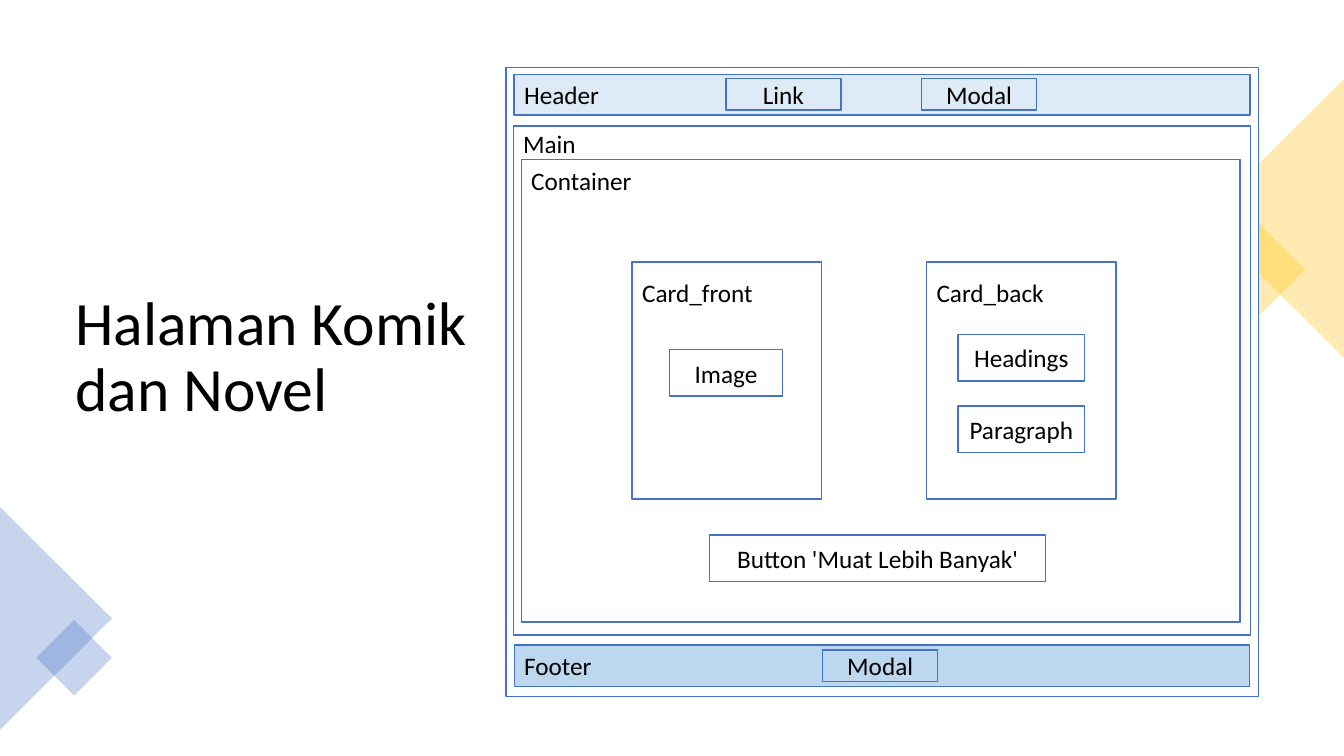
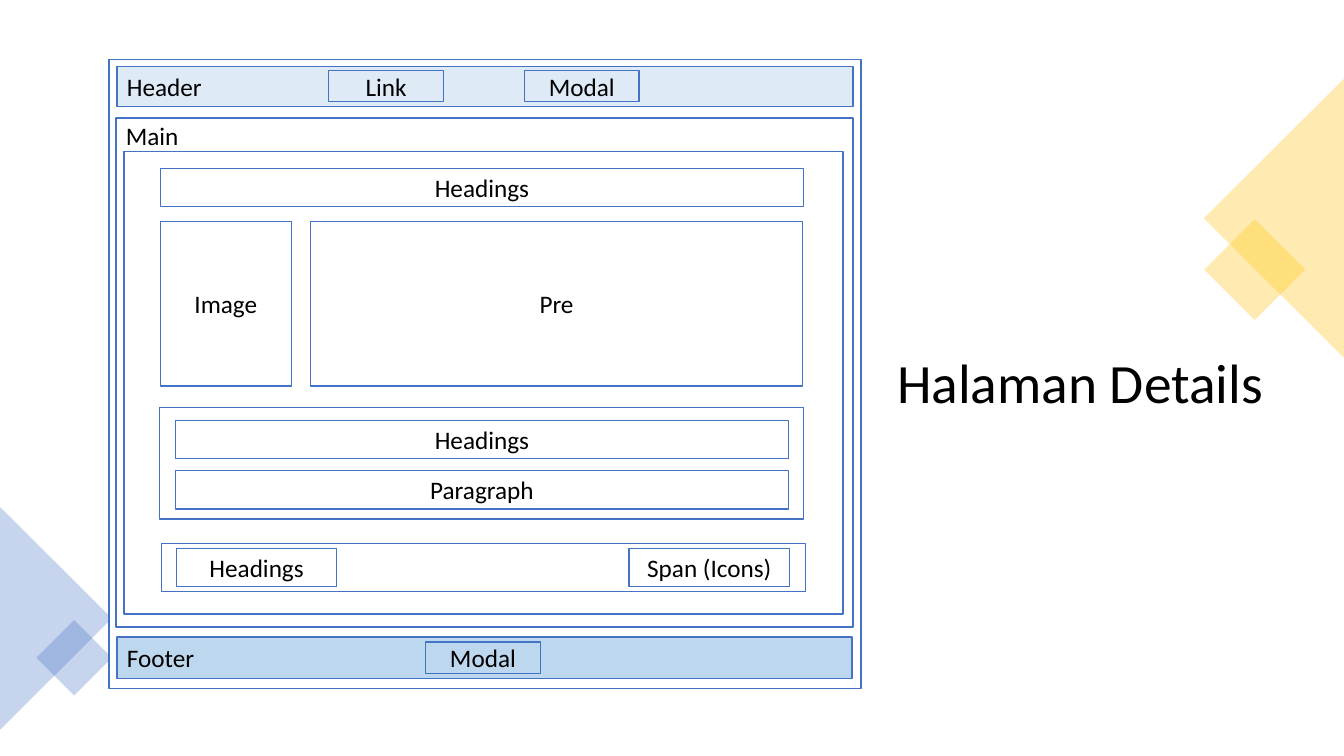
"""Build two slides that show the wireframes of a comic and novel site."""
from lxml import etree
from pptx import Presentation
from pptx import util as u
from pptx.dml.color import RGBColor
from pptx.enum import shapes as sh, text as tx
from pptx.oxml.ns import qn

PX = 9144
BLUE, GOLD, WHITE, PALE, SKY, BLACK = "4472C4", "FFC000", "FFFFFF", "DEEBF7", "BDD7EE", "000000"
RECT, TRI = sh.MSO_SHAPE.RECTANGLE, sh.MSO_SHAPE.ISOSCELES_TRIANGLE
MID, TOP = tx.MSO_ANCHOR.MIDDLE, tx.MSO_ANCHOR.TOP
LEFT, CENTER = tx.PP_ALIGN.LEFT, tx.PP_ALIGN.CENTER
hue = RGBColor.from_string


def write(shape, words, size=18, align=LEFT, anchor=MID, inset=5, lead=1.0):
    frame = shape.text_frame
    para = frame.paragraphs[0]
    para.text = words
    for item, form in (
        (frame, {"word_wrap": True, "vertical_anchor": anchor, "margin_top": inset * PX}),
        (para, {"alignment": align, "line_spacing": lead}),
        (para.font, {"size": u.Pt(size), "name": "Calibri"}),
    ):
        for key, val in form.items():
            setattr(item, key, val)
    para.font.color.rgb = hue(BLACK)


def box(slide, place, fill, kind=RECT):
    shape = slide.shapes.add_shape(kind, *(n * PX for n in place))
    shape.shadow.inherit = False
    shape.fill.solid()
    shape.fill.fore_color.rgb = hue(fill)
    shape.line.color.rgb = hue(BLUE)
    shape.line.width = u.Pt(1)
    return shape


DECOR = [
    (RECT, (1209, 232, 71, 71), 45, GOLD),
    (TRI, (1125, 147, 277, 139), 270, GOLD),
    (TRI, (-55, 558, 221, 111), 90, BLUE),
    (RECT, (47, 626, 53, 53), 45, BLUE),
]

SHELL = [
    ((0, 0, 746, 624), WHITE, "", LEFT),
    ((8, 7, 730, 40), PALE, "Header", LEFT),
    ((8, 573, 729, 41), SKY, "Footer", LEFT),
    ((7, 58, 731, 505), WHITE, "", LEFT),
    ((15, 91, 713, 459), WHITE, "", LEFT),
    ((218, 11, 114, 31), PALE, "Link", CENTER),
    ((412, 11, 114, 31), PALE, "Modal", CENTER),
    ((314, 578, 114, 31), SKY, "Modal", CENTER),
]

PAGES = [
    {
        "title": ("Halaman Komik dan Novel", 44, (65, 297, 430, 117)),
        "frame": (502, 67),
        "panels": [
            ((517, 158, 713, 459), "Container", 6),
            ((627, 260, 188, 235), "Card_front", 15),
            ((919, 260, 188, 235), "Card_back", 15),
        ],
        "parts": [
            ((664, 347, 112, 46), "Image"),
            ((950, 332, 126, 46), "Headings"),
            ((950, 403, 126, 46), "Paragraph"),
            ((704, 531, 333, 46), "Button 'Muat Lebih Banyak'"),
        ],
    },
    {
        "title": ("Halaman Details", 39.6, (880, 349, 423, 67)),
        "frame": (108, 59),
        "panels": [
            ((158, 404, 639, 111), "", 5),
            ((160, 539, 639, 48), "", 5),
        ],
        "parts": [
            ((159, 167, 638, 38), "Headings"),
            ((159, 220, 130, 163), "Image"),
            ((308, 220, 488, 163), "Pre"),
            ((174, 417, 608, 38), "Headings"),
            ((174, 467, 608, 38), "Paragraph"),
            ((175, 544, 159, 38), "Headings"),
            ((624, 544, 159, 38), "Span (Icons)"),
        ],
    },
]

deck = Presentation()
deck.slide_width, deck.slide_height = u.Inches(13.33), u.Inches(7.5)

for page in PAGES:
    slide = deck.slides.add_slide(deck.slide_layouts[6])

    for kind, place, turn, tint in DECOR:
        shape = box(slide, place, tint, kind)
        shape.rotation = turn
        shape.line.fill.background()
        color = next(shape._element.spPr.iter(qn("a:srgbClr")))
        etree.SubElement(color, qn("a:alpha"), val="30000")

    words, size, place = page["title"]
    title = slide.shapes.add_textbox(*(n * PX for n in place))
    write(title, words, size, lead=0.9)

    left, top = page["frame"]
    for (x, y, wide, high), fill, words, align in SHELL:
        shape = box(slide, (left + x, top + y, wide, high), fill)
        if words:
            write(shape, words, align=align)

    label = slide.shapes.add_textbox((left + 7) * PX, (top + 55) * PX, 300 * PX, 40 * PX)
    write(label, "Main", anchor=TOP)

    for place, words, inset in page["panels"]:
        shape = box(slide, place, WHITE)
        if words:
            write(shape, words, anchor=TOP, inset=inset)

    for place, words in page["parts"]:
        write(box(slide, place, WHITE), words, align=CENTER)

deck.save("out.pptx")
